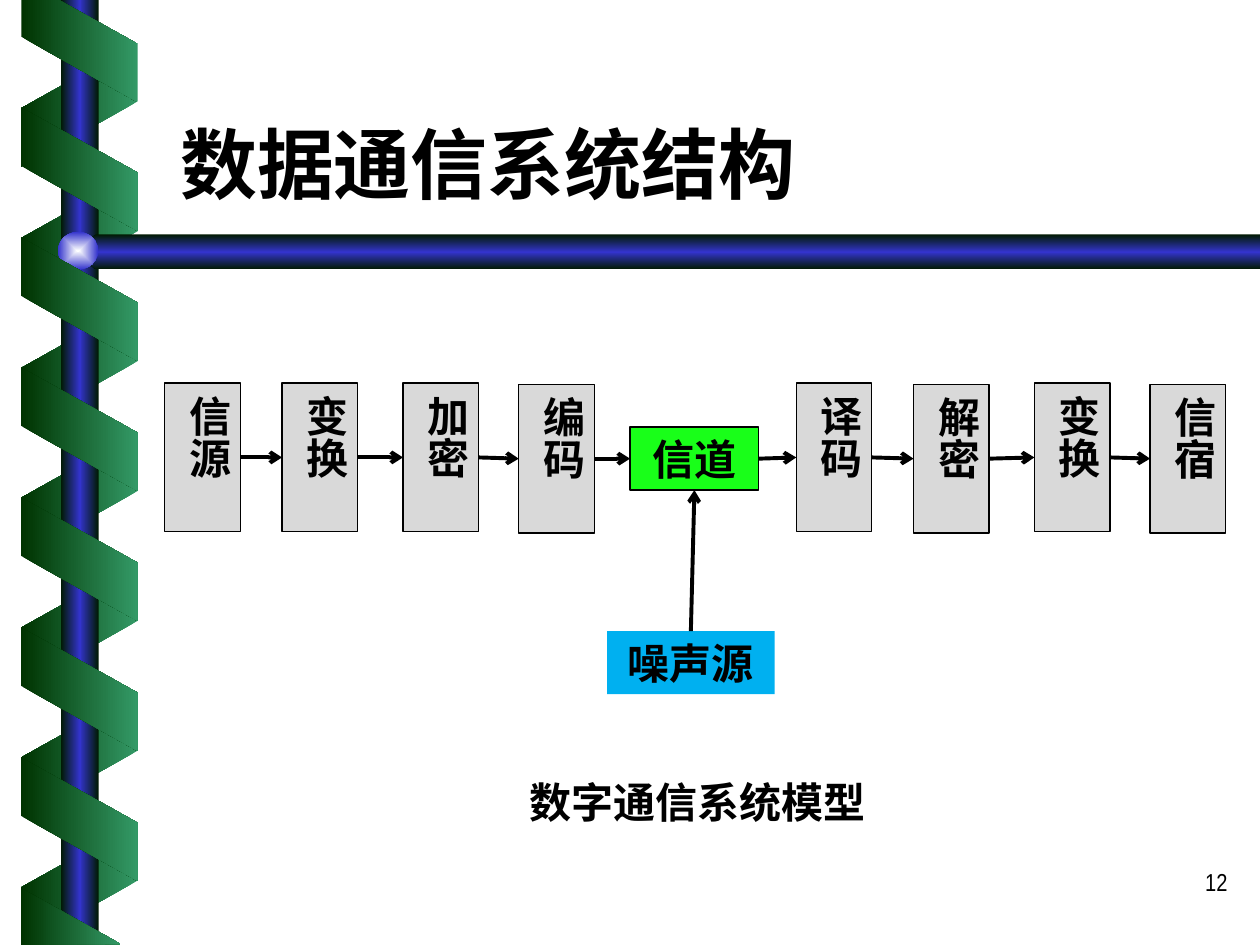
"""Builds a slide on the structure of a digital communication system."""
from lxml import etree
from pptx import Presentation
from pptx import util as u
from pptx.dml.color import RGBColor
from pptx.enum import shapes, text
from pptx.oxml import parse_xml
from pptx.oxml.ns import nsdecls, qn

BLACK = RGBColor(0x00, 0x00, 0x00)
GREY = RGBColor(0xD9, 0xD9, 0xD9)
LIME = RGBColor(0x19, 0xFF, 0x19)
SKY = RGBColor(0x00, 0xB0, 0xF0)
NIGHT = RGBColor(0x00, 0x1A, 0x00)
BLUE = RGBColor(0x33, 0x33, 0xCC)
PEARL = RGBColor(0xFE, 0xFF, 0xFF)
LEAF = RGBColor(0x33, 0x99, 0x66)
PINE = RGBColor(0x00, 0x33, 0x00)

KIND = shapes.MSO_SHAPE
ALIGN = text.PP_ALIGN
ACROSS = '<a:lin ang="0" scaled="1"/>'
DOWN = '<a:lin ang="5400000" scaled="1"/>'
GLOW = ('<a:path path="rect"><a:fillToRect l="50000" t="50000" '
        'r="50000" b="50000"/></a:path>')
TOP, LEFT, BOTTOM, RIGHT = range(4)


class Deck:
    def __init__(self):
        self.font = "Times New Roman"
        self.size = 24
        self.show = Presentation()
        self.show.slide_width = u.Pt(720)
        self.show.slide_height = u.Pt(540)
        self.slide = self.show.slides.add_slide(self.show.slide_layouts[6])

    def put(self, shape, words, align=ALIGN.CENTER, size=None, font=None, bold=True):
        frame = shape.text_frame
        frame.word_wrap = True
        frame.vertical_anchor = text.MSO_ANCHOR.TOP
        para = frame.paragraphs[0]
        para.alignment = align
        run = para.add_run()
        run.text = words
        run.font.name = font or self.font
        run.font.size = u.Pt(size or self.size)
        run.font.bold = bold
        run.font.color.rgb = BLACK
        return frame

    def label(self, words, place, **style):
        box = self.slide.shapes.add_textbox(*map(u.Pt, place))
        return self.put(box, words, **style)

    def form(self, kind, place):
        shape = self.slide.shapes.add_shape(kind, *map(u.Pt, place))
        shape.shadow.inherit = False
        shape.line.fill.background()
        return shape

    def block(self, words, place, fill, edge=True, tall=False):
        shape = self.form(KIND.RECTANGLE, place)
        shape.fill.solid()
        shape.fill.fore_color.rgb = fill
        if edge:
            shape.line.color.rgb = BLACK
            shape.line.width = u.Pt(0.75)
        frame = self.put(shape, words)
        frame.auto_size = text.MSO_AUTO_SIZE.SHAPE_TO_FIT_TEXT
        if tall:
            frame.margin_left = frame.margin_right = u.Pt(3.6)
            frame.margin_top = frame.margin_bottom = u.Pt(7.2)
            shape._element.txBody.find(qn("a:bodyPr")).set("vert", "eaVert")
        return shape

    def blend(self, shape, hues, way=ACROSS):
        step = 100000 // (len(hues) - 1)
        stops = "".join(f'<a:gs pos="{i * step}"><a:srgbClr val="{hue}"/></a:gs>'
                        for i, hue in enumerate(hues))
        shape.fill.gradient()
        props = shape._element.spPr
        props.replace(props.find(qn("a:gradFill")), parse_xml(
            f'<a:gradFill {nsdecls("a")} rotWithShape="0">'
            f'<a:gsLst>{stops}</a:gsLst>{way}</a:gradFill>'))

    def band(self, top, turn, hues, flip=False):
        shape = self.form(KIND.PARALLELOGRAM, (10.1, top, 70.6, 66.6))
        shape.adjustments[0] = 0.56
        shape.rotation = turn
        if flip:
            shape._element.spPr.find(qn("a:xfrm")).set("flipH", "1")
        self.blend(shape, hues)

    def trace(self, points, hues, way=ACROSS):
        first, *rest = [(u.Pt(x), u.Pt(y)) for x, y in points]
        pen = self.slide.shapes.build_freeform(*first)
        pen.add_line_segments(rest, close=True)
        piece = pen.convert_to_shape()
        piece.shadow.inherit = False
        piece.line.fill.background()
        self.blend(piece, hues, way)

    def link(self, start, end, out=RIGHT, into=LEFT):
        line = self.slide.shapes.add_connector(
            shapes.MSO_CONNECTOR.STRAIGHT, 0, 0, 0, 0)
        line.begin_connect(start, out)
        line.end_connect(end, into)
        line.line.color.rgb = BLACK
        line.line.width = u.Pt(2.25)
        props = line._element.spPr
        etree.SubElement(props.find(qn("a:ln")), qn("a:tailEnd"), type="arrow")
        etree.SubElement(props, qn("a:effectLst"))


def main():
    deck = Deck()

    for i in range(7):
        deck.band(26.6 + 74.2 * i, 90, (LEAF, PINE), flip=True)
    pole = deck.form(KIND.RECTANGLE, (34.8, 0, 21.6, 540))
    deck.blend(pole, (NIGHT, BLUE, NIGHT))
    deck.trace([(720, 134), (54.7, 134), (43.2, 144), (54.7, 154), (720, 154)],
               (NIGHT, BLUE, NIGHT), DOWN)
    knob = deck.form(KIND.OVAL, (33.1, 132.5, 23, 21.6))
    deck.blend(knob, (PEARL, BLUE), GLOW)
    for i in range(6):
        deck.band(63.4 + 74.3 * i, 270, (PINE, LEAF))
    deck.trace([(12.2, 0), (12.2, 21), (78.5, 58.3), (78.5, 25), (33.8, 0)],
               (PINE, LEAF))
    deck.trace([(69, 539.5), (12.2, 507.6), (12, 540)], (PINE, LEAF))

    title = deck.label("数据通信系统结构", (95.8, 33.1, 612, 90),
                       align=ALIGN.LEFT, size=44)
    title.vertical_anchor = text.MSO_ANCHOR.BOTTOM
    deck.label("12", (558.7, 491.8, 149.8, 36), align=ALIGN.RIGHT,
               size=14, font="Arial Narrow", bold=False)

    rows = (("信源", "变换", "加密", "编码"), ("译码", "解密", "变换", "信宿"))
    spots = (94.2, 161.2, 230.3, 296.4)
    tops = ((218.9, 218.9, 218.9, 219.6), (218.9, 219.6, 218.9, 219.6))
    send, take = [
        [deck.block(word, (x + shift, y, 43.2, 85), GREY, tall=True)
         for word, x, y in zip(row, spots, line)]
        for row, line, shift in zip(rows, tops, (0, 360.8))]
    middle = deck.block("信道", (360, 244.1, 73.6, 36), LIME)
    noise = deck.block("噪声源", (346.9, 360.7, 95.8, 36), SKY, edge=False)

    chain = send + [middle] + take
    for start, end in zip(chain, chain[1:]):
        deck.link(start, end)
    deck.link(noise, middle, TOP, BOTTOM)

    model = deck.label("数字通信系统模型", (263.5, 439.9, 270, 36))
    model.auto_size = text.MSO_AUTO_SIZE.SHAPE_TO_FIT_TEXT
    deck.show.save("out.pptx")


if __name__ == "__main__":
    main()
